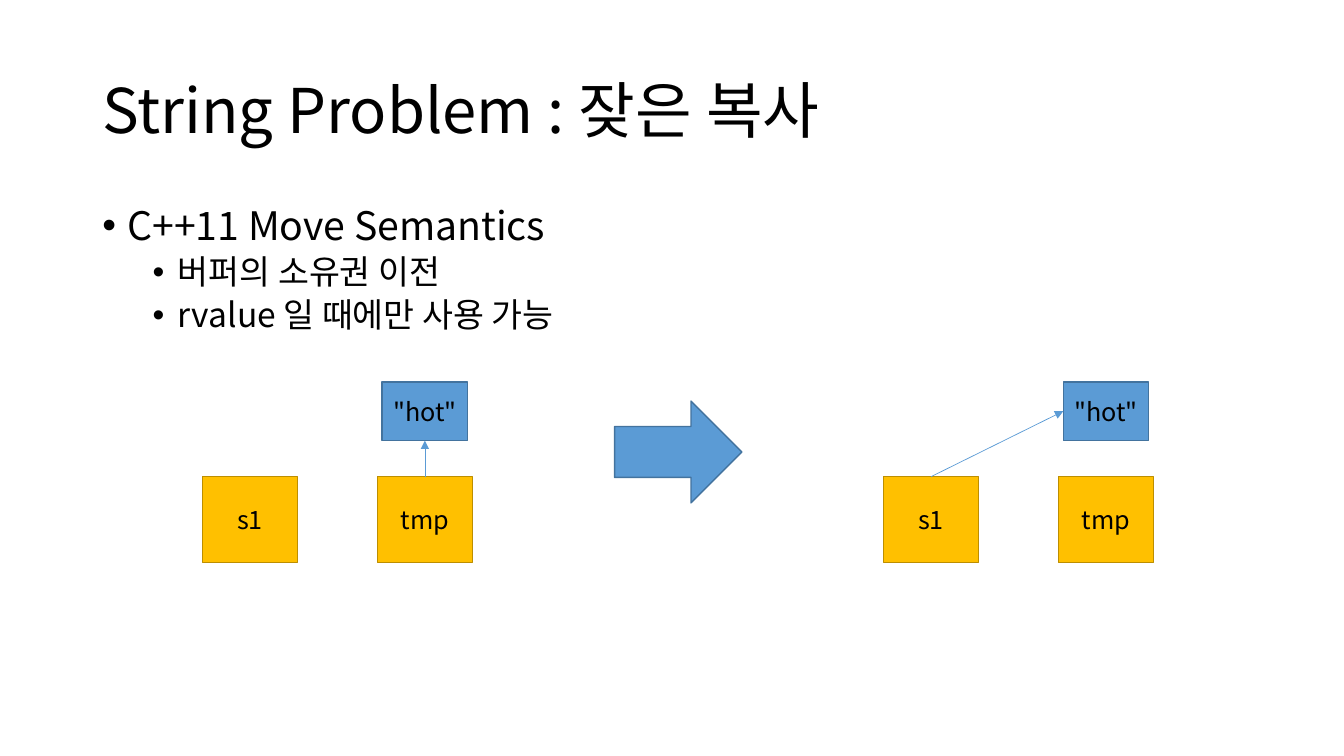
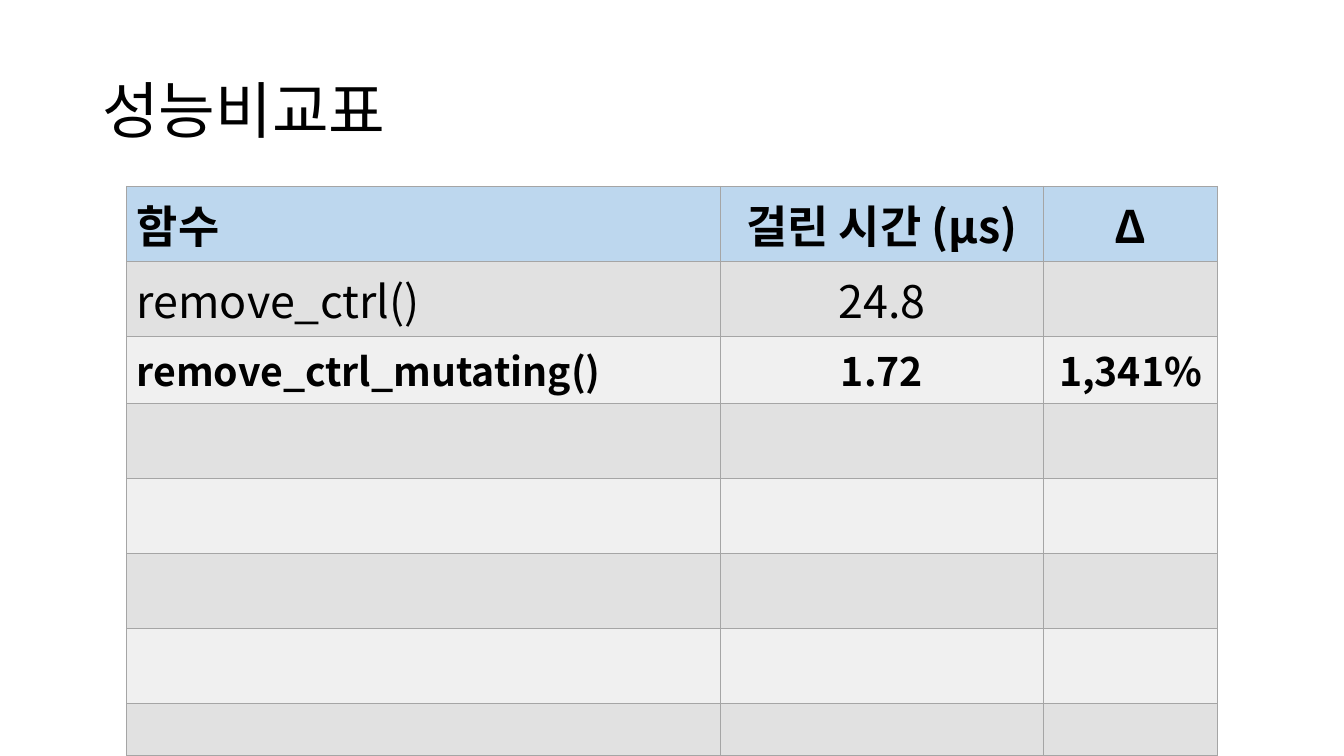
from dataclasses import dataclass

from lxml.etree import SubElement
from pptx import Presentation
from pptx.dml.color import RGBColor
from pptx.enum.shapes import MSO_CONNECTOR, MSO_SHAPE
from pptx.enum.text import MSO_ANCHOR, PP_ALIGN
from pptx.oxml.ns import qn
from pptx.shapes.autoshape import Shape
from pptx.slide import Slide
from pptx.table import _Cell as Cell
from pptx.text.text import TextFrame, _Paragraph as Paragraph
from pptx.util import Pt


# Theme: colours, font and type sizes
@dataclass(frozen=True)
class Theme:
    font: str = "Noto Sans CJK KR"
    ink: str = "000000"
    blue: str = "5B9BD5"
    blue_edge: str = "43739E"
    gold: str = "FFC000"
    gold_edge: str = "BD8E00"
    header: str = "BDD7EE"
    odd_row: str = "E1E1E1"
    even_row: str = "F0F0F0"
    grid: str = "A5A5A5"
    title_size: float = 44
    label_size: float = 18


@dataclass(frozen=True)
class Box:
    left: float
    top: float
    width: float
    height: float


@dataclass(frozen=True)
class Bullet:
    text: str
    size: float
    margin: float
    space_before: float


@dataclass(frozen=True)
class Row:
    texts: tuple[str, str, str]
    height: float
    size: float = 32
    bold: bool = False


@dataclass(frozen=True)
class Scene:
    """Two variables and a buffer; one variable points at the buffer."""
    left: float
    owner: str
    buffer_site: int


THEME = Theme()
SLIDE_WIDTH, SLIDE_HEIGHT = 960, 540
TITLE_BOX = Box(66, 28.75, 828, 104.4)
BODY_BOX = Box(66, 143.75, 828, 342.6)
TOP_SITE, LEFT_SITE, BOTTOM_SITE = 0, 1, 2


# Shared helpers
def color(value: str) -> RGBColor:
    return RGBColor.from_string(value)


def format_runs(paragraph: Paragraph, size: float, bold: bool = False) -> None:
    for run in paragraph.runs:
        run.font.name = THEME.font
        run.font.size = Pt(size)
        run.font.bold = bold
        run.font.color.rgb = color(THEME.ink)
        east_asian = SubElement(run.font._element, qn("a:ea"))
        east_asian.set("typeface", THEME.font)


def add_text_frame(slide: Slide, box: Box) -> TextFrame:
    textbox = slide.shapes.add_textbox(
        Pt(box.left), Pt(box.top), Pt(box.width), Pt(box.height))
    textbox.text_frame.word_wrap = True
    return textbox.text_frame


def add_titled_slide(presentation: Presentation, title: str) -> Slide:
    slide = presentation.slides.add_slide(presentation.slide_layouts[6])
    text_frame = add_text_frame(slide, TITLE_BOX)
    text_frame.vertical_anchor = MSO_ANCHOR.MIDDLE
    text_frame.text = title
    paragraph = text_frame.paragraphs[0]
    paragraph.line_spacing = 0.9
    format_runs(paragraph, THEME.title_size)
    return slide


def add_bullets(slide: Slide, bullets: list[Bullet]) -> None:
    text_frame = add_text_frame(slide, BODY_BOX)
    text_frame.text = "\n".join(bullet.text for bullet in bullets)
    for paragraph, bullet in zip(text_frame.paragraphs, bullets):
        paragraph.line_spacing = 0.9
        paragraph.space_before = Pt(bullet.space_before)
        format_runs(paragraph, bullet.size)
        properties = paragraph._p.get_or_add_pPr()
        properties.set("marL", str(Pt(bullet.margin)))
        properties.set("indent", str(Pt(-18)))
        SubElement(properties, qn("a:buFont")).set("typeface", "Arial")
        SubElement(properties, qn("a:buChar")).set("char", "•")


# Diagram parts
def add_block(slide: Slide, box: Box, fill: str, edge: str, label: str = "",
              kind: MSO_SHAPE = MSO_SHAPE.RECTANGLE) -> Shape:
    shape = slide.shapes.add_shape(
        kind, Pt(box.left), Pt(box.top), Pt(box.width), Pt(box.height))
    shape.shadow.inherit = False
    shape.fill.solid()
    shape.fill.fore_color.rgb = color(fill)
    shape.line.color.rgb = color(edge)
    shape.line.width = Pt(1)
    if label:
        shape.text_frame.text = label
        shape.text_frame.vertical_anchor = MSO_ANCHOR.MIDDLE
        paragraph = shape.text_frame.paragraphs[0]
        paragraph.alignment = PP_ALIGN.CENTER
        format_runs(paragraph, THEME.label_size)
    return shape


def add_pointer(slide: Slide, source: Shape, target: Shape, site: int) -> None:
    connector = slide.shapes.add_connector(MSO_CONNECTOR.STRAIGHT, 0, 0, 0, 0)
    connector.begin_connect(source, TOP_SITE)
    connector.end_connect(target, site)
    connector.line.color.rgb = color(THEME.blue)
    connector.line.width = Pt(0.5)
    SubElement(connector.line._get_or_add_ln(), qn("a:tailEnd")).set("type", "triangle")
    SubElement(connector._element.spPr, qn("a:effectLst"))


def add_scene(slide: Slide, scene: Scene) -> None:
    variables = {
        name: add_block(slide, Box(scene.left + offset, 340.5, 68, 61.25),
                        THEME.gold, THEME.gold_edge, name)
        for name, offset in (("s1", 0), ("tmp", 125))
    }
    buffer = add_block(slide, Box(scene.left + 128.5, 272.75, 61, 42),
                       THEME.blue, THEME.blue_edge, '"hot"')
    add_pointer(slide, variables[scene.owner], buffer, scene.buffer_site)


# Table parts
def style_cell(cell: Cell, fill: str) -> None:
    properties = cell._tc.get_or_add_tcPr()
    for side in ("lnL", "lnR", "lnT", "lnB"):
        border = SubElement(properties, qn(f"a:{side}"), w=str(Pt(1)))
        solid = SubElement(border, qn("a:solidFill"))
        SubElement(solid, qn("a:srgbClr")).set("val", THEME.grid)
    cell.fill.solid()
    cell.fill.fore_color.rgb = color(fill)


def add_comparison_table(slide: Slide, rows: list[Row], left: float, top: float,
                         widths: list[float]) -> None:
    table = slide.shapes.add_table(
        len(rows), len(widths), Pt(left), Pt(top), Pt(sum(widths)),
        Pt(sum(row.height for row in rows))).table
    table.horz_banding = False
    for column, width in zip(table.columns, widths):
        column.width = Pt(width)
    for row_index, row in enumerate(rows):
        table.rows[row_index].height = Pt(row.height)
        band = THEME.odd_row if row_index % 2 else THEME.even_row
        fill = band if row_index else THEME.header
        for column_index, text in enumerate(row.texts):
            cell = table.cell(row_index, column_index)
            style_cell(cell, fill)
            if text:
                cell.text_frame.text = text
                paragraph = cell.text_frame.paragraphs[0]
                paragraph.alignment = PP_ALIGN.CENTER if column_index else PP_ALIGN.LEFT
                format_runs(paragraph, row.size, row.bold)


# Slides
def build_move_slide(presentation: Presentation) -> None:
    slide = add_titled_slide(presentation, "String Problem : 잦은 복사")
    add_bullets(slide, [
        Bullet("C++11 Move Semantics", 28, 18, 10),
        Bullet("버퍼의 소유권 이전", 24, 54, 5),
        Bullet("rvalue 일 때에만 사용 가능", 24, 54, 5),
    ])
    add_scene(slide, Scene(144.5, "tmp", BOTTOM_SITE))
    add_block(slide, Box(439, 286.5, 91, 72.75), THEME.blue, THEME.blue_edge,
              kind=MSO_SHAPE.RIGHT_ARROW)
    add_scene(slide, Scene(631, "s1", LEFT_SITE))


def build_performance_slide(presentation: Presentation) -> None:
    slide = add_titled_slide(presentation, "성능비교표")
    top, height = 133.2, 53.6
    empty = ("", "", "")
    rows = [
        Row(("함수", "걸린 시간 (μs)", "Δ"), height, bold=True),
        Row(("remove_ctrl()", "24.8", ""), height),
        Row(("remove_ctrl_mutating()", "1.72", "1,341%"), 47.9, 28, True),
        *[Row(empty, height)] * 4,
    ]
    # The last row runs down to the slide's bottom edge
    used = sum(row.height for row in rows)
    rows.append(Row(empty, SLIDE_HEIGHT - top - used))
    add_comparison_table(slide, rows, 90.5, top, [424, 231, 124])


def main() -> None:
    presentation = Presentation()
    presentation.slide_width = Pt(SLIDE_WIDTH)
    presentation.slide_height = Pt(SLIDE_HEIGHT)
    build_move_slide(presentation)
    build_performance_slide(presentation)
    presentation.save("out.pptx")


main()
